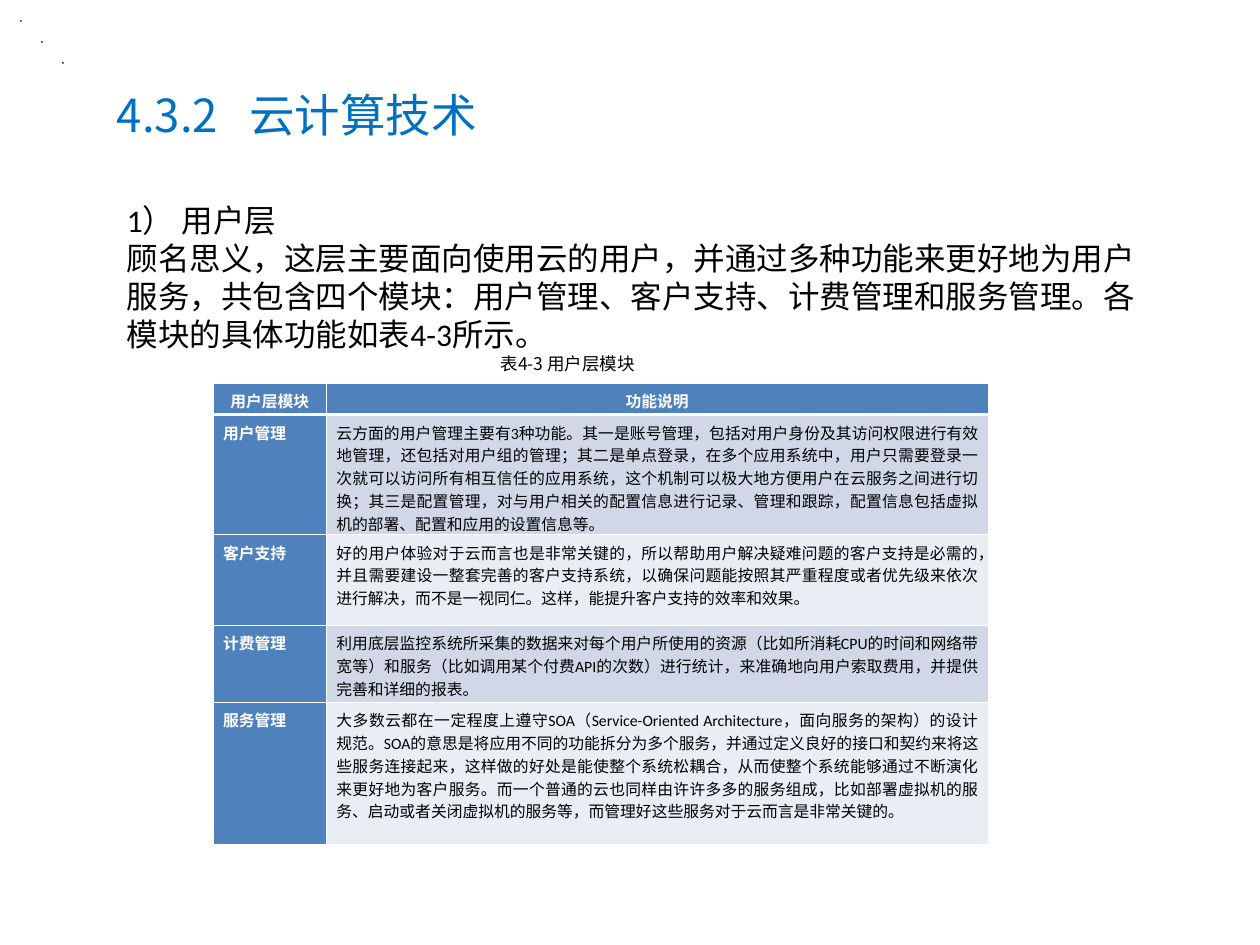
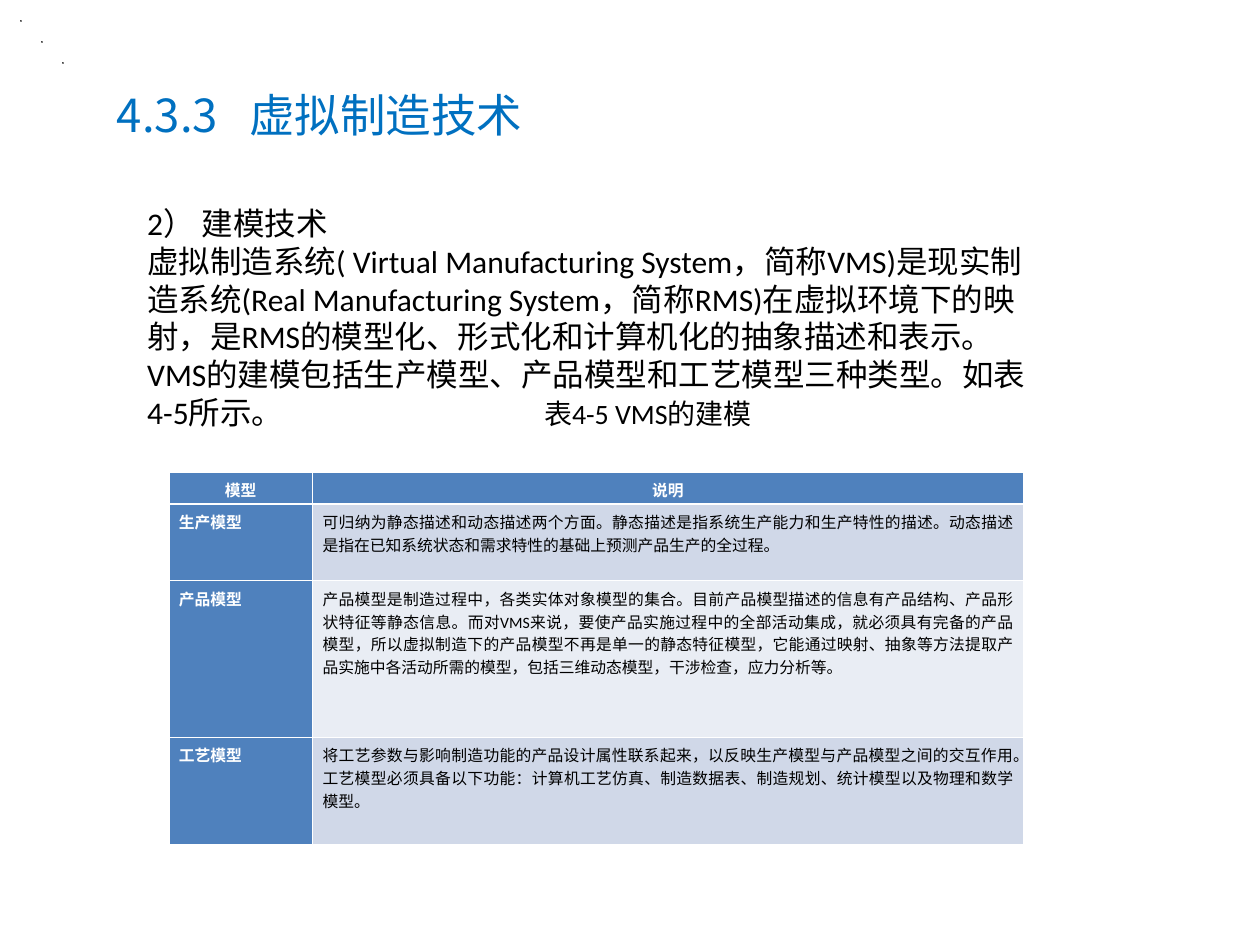
from dataclasses import dataclass

from lxml.etree import SubElement
from pptx import Presentation
from pptx.dml.color import RGBColor
from pptx.enum.lang import MSO_LANGUAGE_ID
from pptx.enum.shapes import MSO_SHAPE
from pptx.enum.text import MSO_ANCHOR, PP_ALIGN
from pptx.oxml.ns import qn
from pptx.util import Inches, Pt


@dataclass(frozen=True)
class Theme:
    latin: str = "Calibri"
    chinese: str = "Noto Sans CJK SC"
    title_color: str = "0070C0"
    ink: str = "000000"
    white: str = "FFFFFF"
    accent: str = "4F81BD"
    bands: tuple = ("D0D8E8", "E9EDF4")
    title_size: int = 26
    body_size: int = 18
    inline_caption_size: int = 16
    caption_size: int = 10
    table_size: int = 9
    body_pitch: float = 21.6
    table_pitch: float = 13
    thin: float = 0.45
    thick: float = 1.47


THEME = Theme()


def apply_format(target, **values):
    for name, value in values.items():
        setattr(target, name, value)


def add_run(paragraph, text, size, color, latin=THEME.latin, bold=False):
    run = paragraph.add_run()
    run.text = text
    apply_format(run.font, size=Pt(size), bold=bold, name=latin,
                 language_id=MSO_LANGUAGE_ID.SIMPLIFIED_CHINESE)
    run.font.color.rgb = RGBColor.from_string(color)
    SubElement(run.font._element, qn("a:ea"), typeface=THEME.chinese)


def add_tab_stop(paragraph, position):
    stops = SubElement(paragraph._p.get_or_add_pPr(), qn("a:tabLst"))
    SubElement(stops, qn("a:tab"), pos=str(Inches(position)), algn="l")


def add_text_frame(slide, box, anchor=MSO_ANCHOR.TOP, wrap=True):
    frame = slide.shapes.add_textbox(*map(Inches, box)).text_frame
    apply_format(frame, word_wrap=wrap, vertical_anchor=anchor)
    return frame


def add_title(slide, number, topic):
    heading = add_text_frame(slide, (0.83, 0.48, 8.13, 0.85), MSO_ANCHOR.MIDDLE).paragraphs[0]
    add_tab_stop(heading, 1.05)
    add_run(heading, f"{number}\t{topic}", THEME.title_size, THEME.title_color, THEME.chinese)


def add_corner_dots(slide):
    for step in range(1, 4):
        offset = Inches(step / 6)
        dot = slide.shapes.add_shape(MSO_SHAPE.RECTANGLE, offset, offset, 0, 0)
        dot.shadow.inherit = False
        dot.fill.solid()
        dot.fill.fore_color.rgb = RGBColor.from_string(THEME.accent)
        dot.line.color.rgb = RGBColor.from_string(THEME.ink)
        dot.line.width = Pt(0.75)


def add_body(slide, box, heading, explanation, inline_caption=None):
    frame = add_text_frame(slide, box)
    for index, text in enumerate((heading, explanation)):
        paragraph = frame.add_paragraph() if index else frame.paragraphs[0]
        paragraph.line_spacing = Pt(THEME.body_pitch)
        add_run(paragraph, text, THEME.body_size, THEME.ink)
    if inline_caption:
        add_tab_stop(paragraph, 3.15)
        add_run(paragraph, f"\t{inline_caption}", THEME.inline_caption_size, THEME.ink)


def add_caption(slide, box, text):
    caption = add_text_frame(slide, box, MSO_ANCHOR.MIDDLE, wrap=False).paragraphs[0]
    caption.alignment = PP_ALIGN.CENTER
    add_run(caption, text, THEME.caption_size, THEME.ink, THEME.chinese)


def add_borders(cell, row_index):
    widths = dict.fromkeys("LRTB", THEME.thin)
    if row_index < 2:
        widths["T" if row_index else "B"] = THEME.thick
    for side, width in widths.items():
        edge = SubElement(cell._tc.get_or_add_tcPr(), qn(f"a:ln{side}"), w=str(Pt(width)))
        SubElement(SubElement(edge, qn("a:solidFill")), qn("a:srgbClr"), val=THEME.white)


def fill_cell(cell, text, row_index, column_index):
    is_header = row_index == 0
    is_label = is_header or column_index == 0
    apply_format(cell, margin_left=Inches(0.08), margin_right=Inches(0.08),
                 margin_top=Inches(0.05), margin_bottom=0, vertical_anchor=MSO_ANCHOR.TOP)
    add_borders(cell, row_index)
    cell.fill.solid()
    background = THEME.accent if is_label else THEME.bands[(row_index - 1) % 2]
    cell.fill.fore_color.rgb = RGBColor.from_string(background)
    paragraph = cell.text_frame.paragraphs[0]
    apply_format(paragraph, line_spacing=Pt(THEME.table_pitch),
                 alignment=PP_ALIGN.CENTER if is_header else PP_ALIGN.JUSTIFY)
    add_run(paragraph, text, THEME.table_size, THEME.white if is_label else THEME.ink,
            bold=is_label)


def add_module_table(slide, corner, widths, heights, rows):
    box = (*corner, sum(widths), sum(heights))
    table = slide.shapes.add_table(len(rows), len(widths), *map(Inches, box)).table
    for column, width in zip(table.columns, widths):
        column.width = Inches(width)
    for row_index, (height, texts) in enumerate(zip(heights, rows)):
        table.rows[row_index].height = Inches(height)
        for column_index, text in enumerate(texts):
            fill_cell(table.cell(row_index, column_index), text, row_index, column_index)


def add_section_slide(deck, number, topic):
    slide = deck.slides.add_slide(deck.slide_layouts[6])
    add_title(slide, number, topic)
    add_corner_dots(slide)
    return slide


def build_cloud_slide(deck):
    slide = add_section_slide(deck, "4.3.2", "云计算技术")
    add_body(
        slide, (0.91, 1.55, 8.27, 1.3), "1） 用户层",
        "顾名思义，这层主要面向使用云的用户，并通过多种功能来更好地为用户服务，共包含四个模块："
        "用户管理、客户支持、计费管理和服务管理。各模块的具体功能如表4-3所示。")
    add_module_table(slide, (1.69, 3.04), (0.9, 5.25), (0.25, 0.95, 0.72, 0.61, 1.13), [
        ("用户层模块", "功能说明"),
        ("用户管理",
         "云方面的用户管理主要有3种功能。其一是账号管理，包括对用户身份及其访问权限进行有效地管理，"
         "还包括对用户组的管理；其二是单点登录，在多个应用系统中，用户只需要登录一次就可以访问所有"
         "相互信任的应用系统，这个机制可以极大地方便用户在云服务之间进行切换；其三是配置管理，"
         "对与用户相关的配置信息进行记录、管理和跟踪，配置信息包括虚拟机的部署、配置和应用的设置信息等。"),
        ("客户支持",
         "好的用户体验对于云而言也是非常关键的，所以帮助用户解决疑难问题的客户支持是必需的，"
         "并且需要建设一整套完善的客户支持系统，以确保问题能按照其严重程度或者优先级来依次进行解决，"
         "而不是一视同仁。这样，能提升客户支持的效率和效果。"),
        ("计费管理",
         "利用底层监控系统所采集的数据来对每个用户所使用的资源（比如所消耗CPU的时间和网络带宽等）"
         "和服务（比如调用某个付费API的次数）进行统计，来准确地向用户索取费用，并提供完善和详细的报表。"),
        ("服务管理",
         "大多数云都在一定程度上遵守SOA（Service-Oriented Architecture，面向服务的架构）的设计规范。"
         "SOA的意思是将应用不同的功能拆分为多个服务，并通过定义良好的接口和契约来将这些服务连接起来，"
         "这样做的好处是能使整个系统松耦合，从而使整个系统能够通过不断演化来更好地为客户服务。"
         "而一个普通的云也同样由许许多多的服务组成，比如部署虚拟机的服务、启动或者关闭虚拟机的服务等，"
         "而管理好这些服务对于云而言是非常关键的。"),
    ])
    add_caption(slide, (3.84, 2.75, 1.33, 0.27), "表4-3 用户层模块")


def build_virtual_manufacturing_slide(deck):
    slide = add_section_slide(deck, "4.3.3", "虚拟制造技术")
    add_body(
        slide, (1.07, 1.57, 7.33, 1.9), "2） 建模技术",
        "虚拟制造系统( Virtual Manufacturing System，简称VMS)是现实制造系统"
        "(Real Manufacturing System，简称RMS)在虚拟环境下的映射，是RMS的模型化、形式化和计算机化的"
        "抽象描述和表示。VMS的建模包括生产模型、产品模型和工艺模型三种类型。如表4-5所示。",
        "表4-5 VMS的建模")
    add_module_table(slide, (1.34, 3.75), (1.14, 5.64), (0.25, 0.61, 1.24, 0.85), [
        ("模型", "说明"),
        ("生产模型",
         "可归纳为静态描述和动态描述两个方面。静态描述是指系统生产能力和生产特性的描述。"
         "动态描述是指在已知系统状态和需求特性的基础上预测产品生产的全过程。"),
        ("产品模型",
         "产品模型是制造过程中，各类实体对象模型的集合。目前产品模型描述的信息有产品结构、"
         "产品形状特征等静态信息。而对VMS来说，要使产品实施过程中的全部活动集成，就必须具有完备的"
         "产品模型，所以虚拟制造下的产品模型不再是单一的静态特征模型，它能通过映射、抽象等方法提取"
         "产品实施中各活动所需的模型，包括三维动态模型，干涉检查，应力分析等。"),
        ("工艺模型",
         "将工艺参数与影响制造功能的产品设计属性联系起来，以反映生产模型与产品模型之间的交互作用。"
         "工艺模型必须具备以下功能：计算机工艺仿真、制造数据表、制造规划、统计模型以及物理和数学模型。"),
    ])


def main():
    deck = Presentation()
    apply_format(deck, slide_width=Inches(10), slide_height=Inches(7.5))
    build_cloud_slide(deck)
    build_virtual_manufacturing_slide(deck)
    deck.save("out.pptx")


if __name__ == "__main__":
    main()
